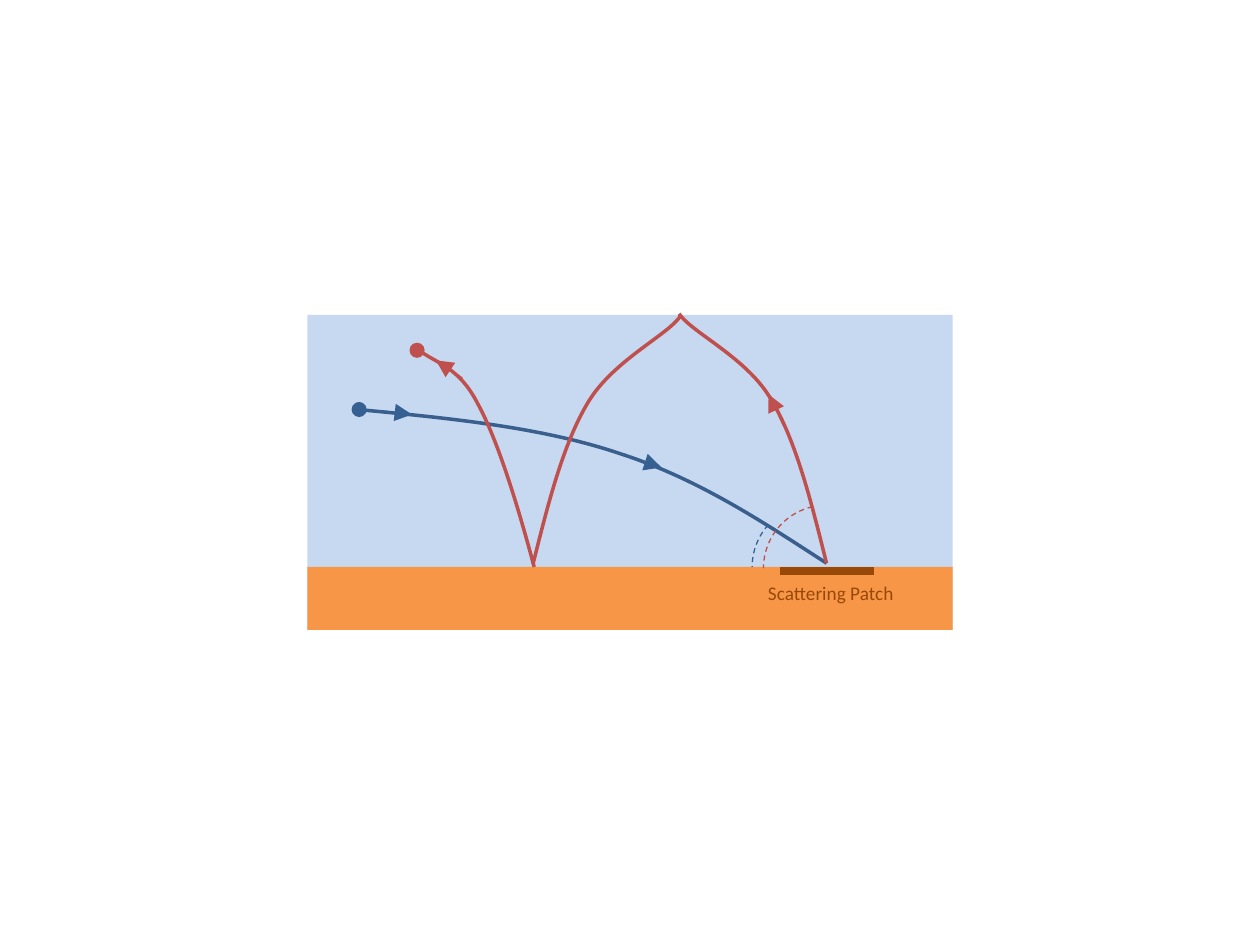
from dataclasses import dataclass

from pptx import Presentation
from pptx.dml.color import RGBColor
from pptx.enum.dml import MSO_LINE
from pptx.enum.shapes import MSO_CONNECTOR, MSO_SHAPE
from pptx.enum.text import PP_ALIGN
from pptx.oxml.ns import qn
from pptx.util import Inches, Pt

RECTANGLE, OVAL, ARC = MSO_SHAPE.RECTANGLE, MSO_SHAPE.OVAL, MSO_SHAPE.ARC
STRAIGHT = MSO_CONNECTOR.STRAIGHT
DASH = MSO_LINE.DASH
RIGHT = PP_ALIGN.RIGHT


@dataclass(frozen=True)
class Theme:
    """Colours, font, type size and line widths of the diagram."""
    water: str = "C6D9F1"
    seabed: str = "F79646"
    patch: str = "984807"
    incoming: str = "376092"
    incoming_path: str = "3A5F8C"
    scattered: str = "C0504D"
    font: str = "Calibri"
    label_size: float = 11
    thin: float = 0.75
    path_width: float = 2
    patch_width: float = 4.5


@dataclass(frozen=True)
class Grid:
    """A box divided into equal columns and rows."""
    left: int
    top: int
    width: int
    height: int
    columns: int = 512
    rows: int = 250

    def point(self, column, row):
        """Return the slide position of a grid crossing."""
        return (round(self.left + self.width * column / self.columns),
                round(self.top + self.height * row / self.rows))

    def area(self, column, row, wide, high):
        """Return left, top, width and height of a block of cells."""
        left, top = self.point(column, row)
        right, bottom = self.point(column + wide, row + high)
        return left, top, right - left, bottom - top


THEME = Theme()


def style_line(line, color, width):
    """Give a line its colour and width."""
    line.color.rgb = RGBColor.from_string(color)
    line.width = Pt(width)


def add_solid(page, kind, area, color):
    """Add a filled shape without outline."""
    shape = page.shapes.add_shape(kind, *area)
    shape.shadow.inherit = False
    shape.fill.solid()
    shape.fill.fore_color.rgb = RGBColor.from_string(color)
    shape.line.fill.background()


def add_straight(page, start, end, color, width, arrow=False):
    """Add a straight line, with a large arrowhead on request."""
    connector = page.shapes.add_connector(STRAIGHT, *start, *end)
    style_line(connector.line, color, width)
    properties = connector.element.spPr
    if arrow:
        head = properties.find(qn("a:ln")).makeelement(
            qn("a:tailEnd"), {"type": "triangle", "w": "lg", "len": "lg"})
        properties.find(qn("a:ln")).append(head)
    properties.append(properties.makeelement(qn("a:effectLst"), {}))


def add_curve(shapes, points, color):
    """Add an open curve of cubic segments through the given points."""
    builder = shapes.build_freeform(*points[0])
    builder.add_line_segments(points[1:], close=False)
    curve = builder.convert_to_shape()
    curve.shadow.inherit = False
    curve.fill.background()
    style_line(curve.line, color, THEME.path_width)
    steps = curve.element.xpath(".//a:lnTo")
    for first in range(0, len(steps), 3):
        segment = steps[first].makeelement(qn("a:cubicBezTo"), {})
        steps[first].addprevious(segment)
        for step in steps[first:first + 3]:
            segment.append(step[0])
            step.getparent().remove(step)


def add_angle(page, area, start, color):
    """Add a dashed arc that opens to the left."""
    arc = page.shapes.add_shape(ARC, *area)
    arc.shadow.inherit = False
    arc.fill.background()
    arc.adjustments[0] = start
    arc.adjustments[1] = 0
    arc.element.spPr.find(qn("a:xfrm")).set("flipH", "1")
    style_line(arc.line, color, THEME.thin)
    arc.line.dash_style = DASH


def draw_layers(page, grid):
    """Draw the water, the seabed and the scattering patch."""
    add_solid(page, RECTANGLE, grid.area(0, 0, 512, 250), THEME.water)
    add_solid(page, RECTANGLE, grid.area(0, 200, 512, 50), THEME.seabed)
    add_straight(page, grid.point(375, 203), grid.point(450, 203),
                 THEME.patch, THEME.patch_width)


def draw_paths(page, grid):
    """Draw the incoming path and the grouped scattered path."""
    incoming = [(40, 75), (113, 82), (186, 89), (248, 110),
                (310, 130), (361, 164), (412, 197)]
    scattered = [
        [(412, 197), (400, 149), (388, 100), (368, 67),
         (349, 34), (305, 14), (295, -1)],
        [(179, 198), (191, 150), (203, 102), (223, 69),
         (243, 36), (286, 16), (296, 1)],
        [(180, 200), (167, 151), (151, 99), (135, 70),
         (120, 41), (103, 39), (87, 27)],
    ]
    add_curve(page.shapes, [grid.point(*spot) for spot in incoming],
              THEME.incoming_path)
    group = page.shapes.add_group_shape()
    for bounce in scattered:
        add_curve(group.shapes, [grid.point(*spot) for spot in bounce],
                  THEME.scattered)


def draw_markers(page, grid):
    """Draw the end dots, the direction arrows and the angle arcs."""
    for column, row, color in ((35, 69, THEME.incoming),
                               (81, 22, THEME.scattered)):
        add_solid(page, OVAL, grid.area(column, row, 12, 12), color)
    for start, end, color in (
            ((250, 111), (281, 121), THEME.incoming),
            ((378, 88), (366, 63), THEME.scattered),
            ((58, 76), (83, 79), THEME.incoming),
            ((123, 50), (102, 36), THEME.scattered)):
        add_straight(page, grid.point(*start), grid.point(*end),
                     color, THEME.thin, arrow=True)
    for column, row, start, color in (
            (353, 150, 190.9, THEME.incoming),
            (362, 151, 169.61, THEME.scattered)):
        add_angle(page, grid.area(column, row, 100, 100), start, color)


def draw_label(page, grid):
    """Write the name of the patch below it."""
    box = page.shapes.add_textbox(*grid.area(353, 204, 122, 30))
    box.text_frame.word_wrap = False
    para = box.text_frame.paragraphs[0]
    para.alignment = RIGHT
    para.line_spacing = 1.15
    para.space_after = Pt(10)
    span = para.add_run()
    span.text = "Scattering Patch"
    span.font.name = THEME.font
    span.font.size = Pt(THEME.label_size)
    span.font.color.rgb = RGBColor.from_string(THEME.patch)


def main():
    """Build the scattering diagram and save it."""
    deck = Presentation()
    deck.slide_width, deck.slide_height = Inches(10), Inches(7.5)
    page = deck.slides.add_slide(deck.slide_layouts[6])
    grid = Grid(Inches(2.44), Inches(2.5), Inches(5.12), Inches(2.5))
    for draw in (draw_layers, draw_paths, draw_markers, draw_label):
        draw(page, grid)
    deck.save("out.pptx")


if __name__ == "__main__":
    main()
